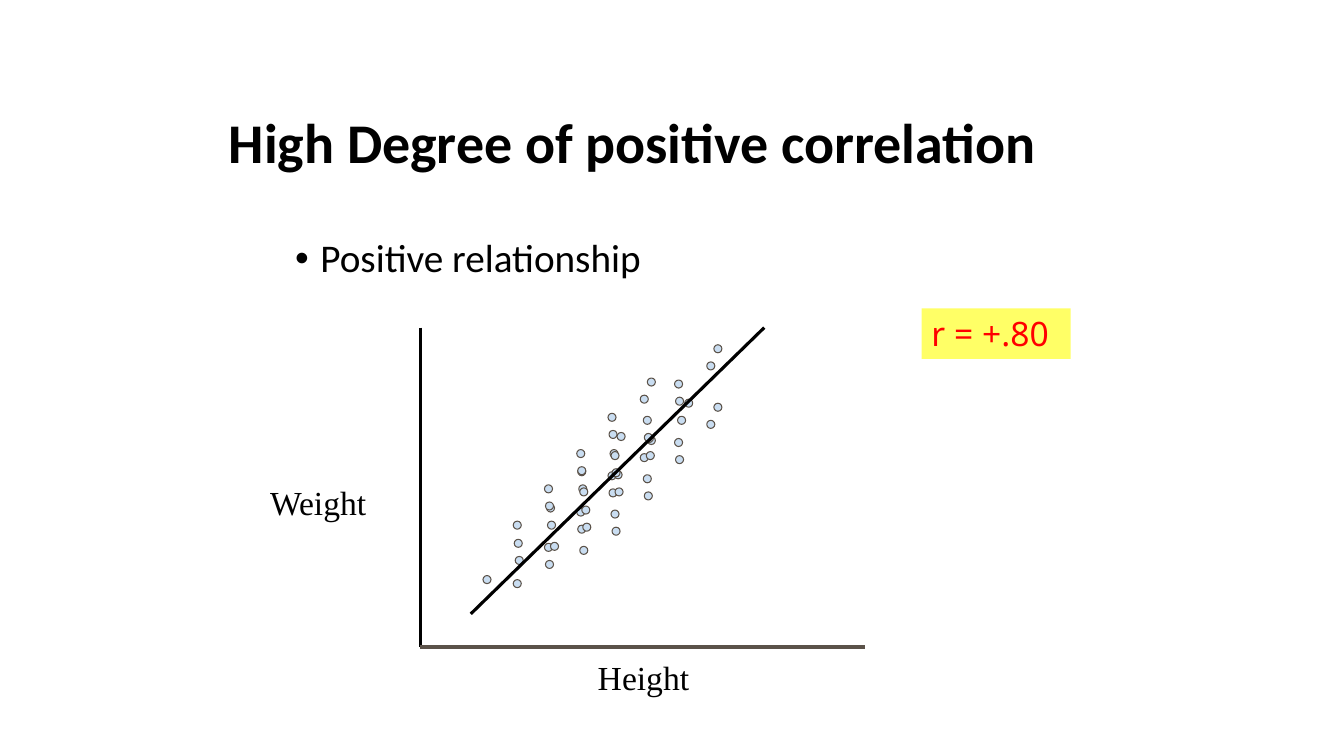
from pptx import Presentation
from pptx.dml.color import RGBColor
from pptx.enum.shapes import MSO_CONNECTOR, MSO_SHAPE
from pptx.enum.text import MSO_ANCHOR, MSO_AUTO_SIZE, PP_ALIGN
from pptx.oxml.ns import qn
from pptx.util import Inches, Pt
from lxml import etree

LINE = MSO_CONNECTOR.STRAIGHT
OVAL = MSO_SHAPE.OVAL
TOP, MIDDLE = MSO_ANCHOR.TOP, MSO_ANCHOR.MIDDLE
FIXED = MSO_AUTO_SIZE.NONE
LEFT = PP_ALIGN.LEFT

COLORS = {"ink": "000000", "edge": "5B5249", "dot": "C9DDF1",
          "note": "FFFF66", "red": "FF0000"}
SERIF = "Times New Roman"
DOT = 0.08
STARTS = [(4.79, 5.71), (5.09, 5.75), (5.09, 5.17),
          (5.46, 5.38), (5.75, 5.42), (5.75, 4.84)]
STEPS = [(0, 0), (0.32, 0.19), (0.31, 0.36), (0.64, 0.54), (0.63, 0.71),
         (0.95, 0.9), (0.94, 1.07), (1.26, 1.25), (1.33, 1.42)]


class Page:
    def __init__(self, slide):
        self.slide = slide
        self.shapes = slide.shapes

    def color(self, name):
        return RGBColor.from_string(COLORS[name])

    def style(self, shape, text, size, font, color="ink", bold=False,
              anchor=TOP, spacing=0.95):
        frame = shape.text_frame
        frame.text = text
        frame.word_wrap = True
        frame.auto_size = FIXED
        frame.vertical_anchor = anchor
        para = frame.paragraphs[0]
        para.alignment = LEFT
        para.line_spacing = spacing
        para.font.size = Pt(size)
        para.font.name = font
        para.font.bold = bold
        para.font.color.rgb = self.color(color)
        return para

    def title(self, text, box):
        shape = self.shapes.title
        shape.left, shape.top, shape.width, shape.height = map(Inches, box)
        self.style(shape, text, 40, "Calibri", bold=True, anchor=MIDDLE)

    def label(self, text, box, size, font, fill=None, **look):
        shape = self.shapes.add_textbox(*map(Inches, box))
        if fill:
            shape.fill.solid()
            shape.fill.fore_color.rgb = self.color(fill)
        return self.style(shape, text, size, font, **look)

    def bullet(self, text, box):
        para = self.label(text, box, 28, "Calibri")
        para.space_before = Pt(10)
        props = para._p.get_or_add_pPr()
        props.set("marL", str(Inches(0.25)))
        props.set("indent", str(-Inches(0.25)))
        mark = etree.Element(qn("a:buChar"), char="•")
        props.find(qn("a:spcBef")).addnext(mark)
        face = etree.Element(qn("a:buFont"), typeface="Arial")
        mark.addprevious(face)

    def line(self, start, end, width, color="ink"):
        line = self.shapes.add_connector(LINE, *map(Inches, start + end))
        line.line.width = Pt(width)
        line.line.color.rgb = self.color(color)
        etree.SubElement(line._element.spPr, qn("a:effectLst"))

    def dot(self, left, top):
        dot = self.shapes.add_shape(OVAL, *map(Inches, (left, top, DOT, DOT)))
        dot.shadow.inherit = False
        dot.fill.solid()
        dot.fill.fore_color.rgb = self.color("dot")
        dot.line.color.rgb = self.color("edge")
        dot.line.width = Pt(0.75)


def main():
    deck = Presentation()
    deck.slide_width, deck.slide_height = Inches(13.33), Inches(7.5)
    page = Page(deck.slides.add_slide(deck.slide_layouts[5]))

    page.title("High Degree of positive correlation", (2.17, 1, 9.17, 0.87))
    page.bullet("Positive relationship", (2.83, 2.3, 8.5, 0.83))

    page.line((4.17, 3.25), (4.17, 6.42), 2.25)
    page.line((4.17, 6.42), (8.58, 6.42), 3, "edge")
    page.label("Height", (5.83, 6.5, 1.11, 0.5), 24, SERIF)
    page.label("Weight", (2.58, 4.76, 1.25, 0.5), 24, SERIF)

    for left, top in STARTS:
        for right, up in STEPS:
            page.dot(left + right, top - up)
    page.line((4.67, 6.09), (7.58, 3.25), 2.25)

    page.label("r = +.80", (9.14, 3.06, 1.48, 0.5), 24, "Noto Sans",
               fill="note", color="red", spacing=1.0)
    deck.save("out.pptx")


if __name__ == "__main__":
    main()
